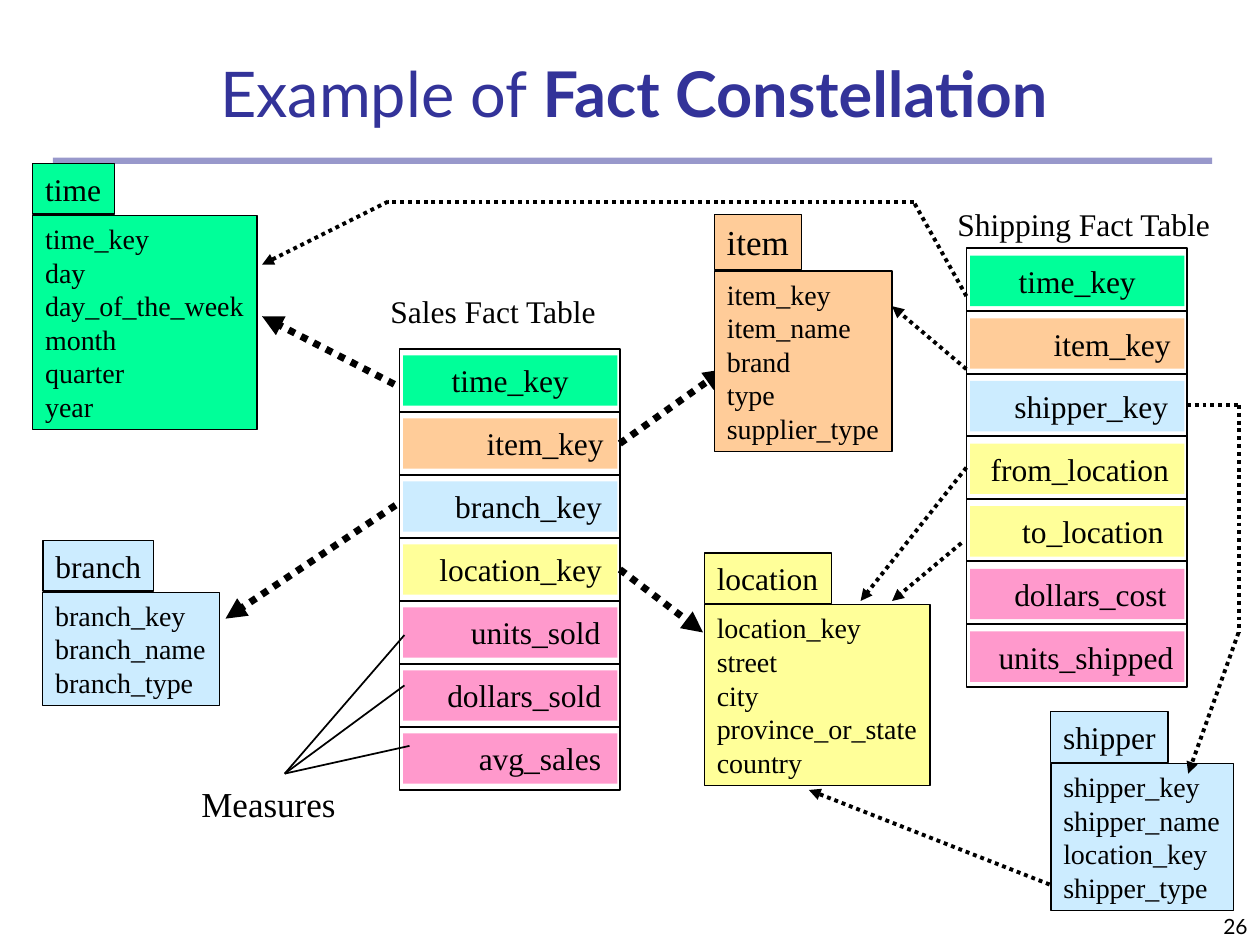
from lxml.etree import SubElement
from pptx import Presentation
from pptx.dml.color import RGBColor
from pptx.enum.dml import MSO_LINE
from pptx.enum.shapes import MSO_CONNECTOR, MSO_SHAPE
from pptx.enum.text import MSO_ANCHOR as ANCHOR, PP_ALIGN as ALIGN
from pptx.oxml.ns import qn
from pptx.util import Inches, Pt

COLS, ROWS = 100, 75
GREEN, ORANGE, BLUE, YELLOW, PINK = "00FF99", "FFCC99", "CCECFF", "FFFF99", "FF99CC"
BLACK, NAVY = "000000", "333399"
LEFT, RIGHT = 1, 3


def rgb(value):
    return RGBColor.from_string(value)


class Diagram:
    """Style and current slide; lengths are columns and rows of the grid."""
    serif, sans = "Times New Roman", "Lato"
    space = 0.625  # columns per step of indent
    frame_w, frame_h = 17.5, 5
    line_h = 2.667  # rows per field of a dimension table

    def __init__(self, prs):
        self.cell_w, self.cell_h = prs.slide_width / COLS, prs.slide_height / ROWS
        self.s = prs.slides.add_slide(prs.slide_layouts[5])

    def x(self, cols):
        return round(cols * self.cell_w)

    def y(self, rows):
        return round(rows * self.cell_h)

    def box(self, x, y, w, h):
        return self.x(x), self.y(y), self.x(w), self.y(h)

    def run(self, p, text, size, color=BLACK, font=None, bold=False):
        r = p.add_run()
        r.text = text
        r.font.size, r.font.bold, r.font.name = Pt(size), bold, font or self.serif
        r.font.color.rgb = rgb(color)

    def fill_text(self, sp, lines, size, align=ALIGN.LEFT, anchor=ANCHOR.TOP,
                  wrap=False, font=None):
        tf = sp.text_frame
        tf.word_wrap, tf.vertical_anchor = wrap, anchor
        for i, line in enumerate(lines):
            p = tf.add_paragraph() if i else tf.paragraphs[0]
            p.alignment = align
            self.run(p, line, size, font=font)

    def title(self, parts, x, y, w, h):
        sp = self.s.shapes.title
        sp.left, sp.top, sp.width, sp.height = self.box(x, y, w, h)
        tf = sp.text_frame
        tf.vertical_anchor = ANCHOR.BOTTOM
        p = tf.paragraphs[0]
        p.alignment = ALIGN.CENTER
        for text, bold in parts:
            self.run(p, text, 36, NAVY, self.sans, bold)

    def label(self, text, x, y, w, h, size=18, **style):
        sp = self.s.shapes.add_textbox(*self.box(x, y, w, h))
        self.fill_text(sp, [text], size, **style)

    def rect(self, x, y, w, h, fill=None, line=None):
        sp = self.s.shapes.add_shape(MSO_SHAPE.RECTANGLE, *self.box(x, y, w, h))
        sp.shadow.inherit = False
        if fill:
            sp.fill.solid()
            sp.fill.fore_color.rgb = rgb(fill)
        else:
            sp.fill.background()
        if line:
            sp.line.color.rgb, sp.line.width = rgb(BLACK), Pt(line)
        else:
            sp.line.fill.background()
        return sp

    def title_rule(self, x, y, w, h):
        sp = self.rect(x, y, w, h, NAVY)
        color = sp._element.spPr.find(".//" + qn("a:srgbClr"))
        SubElement(color, qn("a:alpha"), val="50000")

    def dimension(self, name, fields, x, y, color, tab_w, body_w,
                  tab_h=4, size=18, align=ALIGN.CENTER):
        body_h = len(fields) * self.line_h + 1
        body = self.rect(x, y + tab_h + 0.1, body_w, body_h, color, 0.75)
        self.fill_text(body, fields, 16)
        tab = self.rect(x, y, tab_w, tab_h, color, 0.75)
        self.fill_text(tab, [name], size, align, ANCHOR.MIDDLE)

    def fact_table(self, rows, x, y, pitch, bar_drop):
        """Draw framed key bars and return the frames by key name."""
        frames = {}
        for i, (key, color, indent) in enumerate(rows):
            top = y + i * pitch
            frames[key] = self.rect(x, top, self.frame_w, self.frame_h, line=1)
            bar = self.rect(x + 0.3, top + bar_drop, 17, 4, color)
            align = ALIGN.LEFT if indent else ALIGN.CENTER
            self.fill_text(bar, [key], 18, align, wrap=True)
            if indent:
                tf = bar.text_frame
                tf.margin_left = Inches(0.1) + self.x(indent * self.space)
                tf.margin_right = 0
        return frames

    def line(self, start, end, width, dotted=True, arrow=False):
        ends = self.x(start[0]), self.y(start[1]), self.x(end[0]), self.y(end[1])
        c = self.s.shapes.add_connector(MSO_CONNECTOR.STRAIGHT, *ends)
        c.line.color.rgb, c.line.width = rgb(BLACK), Pt(width)
        if dotted:
            c.line.dash_style = MSO_LINE.ROUND_DOT
        if arrow:
            SubElement(c.line._get_or_add_ln(), qn("a:tailEnd"), type="triangle")
        SubElement(c._element.spPr, qn("a:effectLst"))
        return c

    def route(self, points, width=2.25, frame=None, side=LEFT):
        """Dotted path with an arrowhead at its end, joined to a frame if given."""
        for i, (a, b) in enumerate(zip(points, points[1:])):
            c = self.line(a, b, width, arrow=i == len(points) - 2)
            if frame is not None and i == 0:
                c.begin_connect(frame, side)


def main():
    prs = Presentation()
    prs.slide_width, prs.slide_height = Inches(10), Inches(7.5)
    d = Diagram(prs)

    d.title_rule(4.2, 12.5, 92, 0.5)
    d.title([("Example of ", False), ("Fact Constellation", True)], 12.2, 3.3, 76.2, 7.5)
    d.label("26", 79.2, 70, 20.8, 5, size=12, align=ALIGN.RIGHT,
            anchor=ANCHOR.BOTTOM, wrap=True, font=d.sans)

    d.label("Sales Fact Table", 30, 22.7, 18.5, 4)
    sales = d.fact_table([
        ("time_key", GREEN, 0), ("item_key", ORANGE, 9), ("branch_key", BLUE, 5),
        ("location_key", YELLOW, 3), ("units_sold", PINK, 7),
        ("dollars_sold", PINK, 4), ("avg_sales", PINK, 8),
    ], 31.7, 27.7, pitch=5, bar_drop=0.5)
    d.label("Shipping Fact Table", 75, 15.8, 22.3, 4)
    shipping = d.fact_table([
        ("time_key", GREEN, 0), ("item_key", ORANGE, 9), ("shipper_key", BLUE, 4),
        ("from_location", YELLOW, 1), ("to_location", YELLOW, 5),
        ("dollars_cost", PINK, 4), ("units_shipped", PINK, 2),
    ], 76.7, 19.7, pitch=4.97, bar_drop=0.6)

    d.route([(31.4, 40.1), (17.9, 49.1)], 4)
    d.route([(31.3, 30.5), (20.8, 25.1)], 4)
    d.route([(49.2, 45.2), (55.8, 50.2)], 4, sales["location_key"], RIGHT)
    d.route([(49.2, 35.2), (57.5, 29.3)], 4, sales["item_key"], RIGHT)

    d.dimension("time", ["time_key", "day", "day_of_the_week", "month", "quarter", "year"],
                2.6, 13, GREEN, 6.5, 17.8, align=ALIGN.LEFT)
    d.dimension("item", ["item_key", "item_name", "brand", "type", "supplier_type"],
                56.7, 17, ORANGE, 6.9, 14.1, tab_h=4.4, size=20)
    d.dimension("branch", ["branch_key", "branch_name", "branch_type"],
                3.4, 42.9, BLUE, 8.8, 14)
    d.dimension("location", ["location_key", "street", "city", "province_or_state", "country"],
                55.9, 43.9, YELLOW, 10.1, 17.9, align=ALIGN.LEFT)
    d.dimension("shipper", ["shipper_key", "shipper_name", "location_key", "shipper_type"],
                83.4, 56.5, BLUE, 9.3, 14.5)

    d.route([(76.7, 23.5), (72.5, 16), (30.8, 16), (20.8, 21)])
    d.route([(76.7, 29.3), (70.8, 24.3)])
    d.route([(76.7, 37.1), (68.3, 47.7)], frame=shipping["from_location"])
    d.route([(76.3, 43.1), (70.8, 47.7)])
    d.route([(94.2, 32.14), (98.3, 32.14), (98.3, 50.2), (94.3, 61.4)],
            frame=shipping["shipper_key"], side=RIGHT)
    d.route([(83.3, 70.2), (64.2, 62.7)])

    d.label("Measures", 15, 61.6, 13.3, 4.3, size=20, wrap=True)
    for measure_end in [(32.1, 50.4), (32.1, 54.4), (32.5, 59.2)]:
        d.line((22.6, 61.4), measure_end, 1, dotted=False)

    prs.save("out.pptx")


if __name__ == "__main__":
    main()
